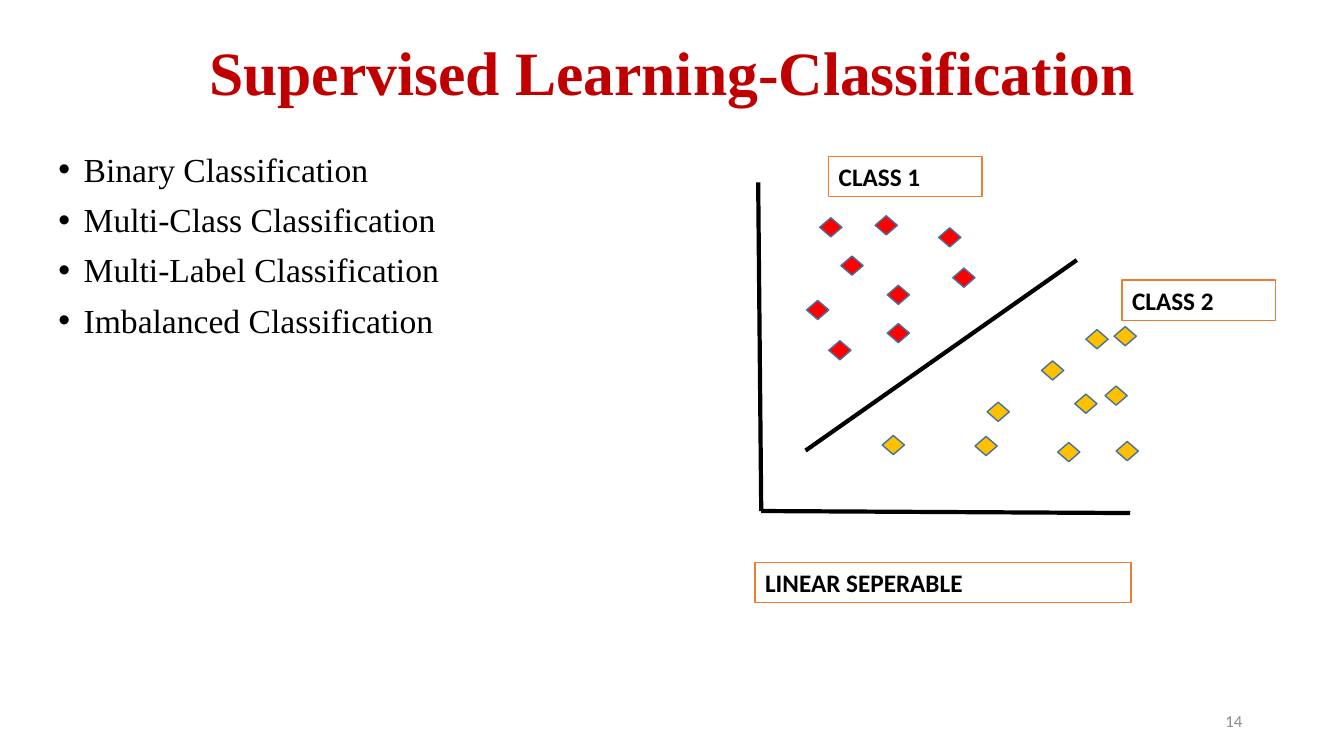
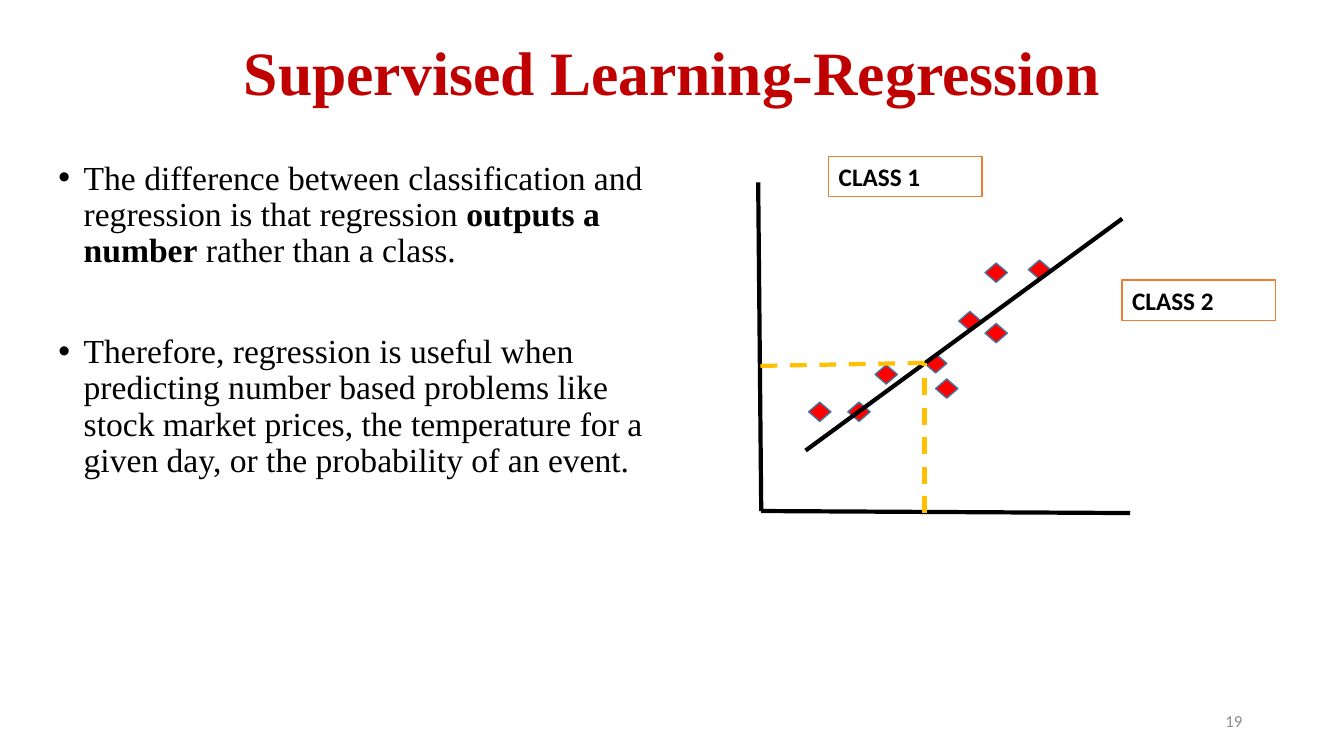
from dataclasses import dataclass

from lxml import etree
from pptx import Presentation
from pptx.dml.color import RGBColor
from pptx.enum.dml import MSO_LINE_DASH_STYLE as Dash
from pptx.enum.shapes import MSO_CONNECTOR as Connector, MSO_SHAPE as Shape
from pptx.enum.text import MSO_ANCHOR as Anchor, MSO_AUTO_SIZE as AutoSize, PP_ALIGN as Align
from pptx.oxml.ns import qn
from pptx.util import Inches, Pt


@dataclass(frozen=True)
class Theme:
    heading_font: str = "Times New Roman"
    label_font: str = "Calibri"
    title_color: str = "C00000"
    ink: str = "000000"
    paper: str = "FFFFFF"
    number_color: str = "8C8C8C"
    class_1: str = "FF0000"
    class_2: str = "FFC000"
    point_outline: str = "43739E"
    label_outline: str = "ED7D31"
    title_size: int = 44
    body_size: int = 24
    label_size: int = 18
    number_size: int = 12
    axis_width: int = 3
    outline_width: int = 1
    line_spacing: float = 0.9
    bullet_gap: int = 10
    wide_bullet_gap: int = 46


def place(shape, left, top, width, height):
    shape.left, shape.top = Inches(left), Inches(top)
    shape.width, shape.height = Inches(width), Inches(height)


class Deck:
    POINT_SIZE = (0.22, 0.19)
    LABEL_HEIGHT = 0.4

    def __init__(self, theme):
        self.theme = theme
        self.prs = Presentation()
        self.prs.slide_width, self.prs.slide_height = Inches(13.33), Inches(7.5)
        self.slide = None

    def add_run(self, paragraph, text, font, size, color, bold=False):
        run = paragraph.add_run()
        run.text = text
        run.font.name, run.font.size, run.font.bold = font, Pt(size), bold
        run.font.color.rgb = RGBColor.from_string(color)

    def start_slide(self, title, number):
        theme = self.theme
        self.slide = self.prs.slides.add_slide(self.prs.slide_layouts[1])
        heading = self.slide.shapes.title
        place(heading, 0.92, 0.02, 11.5, 1.45)
        frame = heading.text_frame
        frame.auto_size, frame.vertical_anchor = AutoSize.NONE, Anchor.MIDDLE
        paragraph = frame.paragraphs[0]
        paragraph.alignment, paragraph.line_spacing = Align.CENTER, theme.line_spacing
        self.add_run(paragraph, title, theme.heading_font, theme.title_size,
                     theme.title_color, bold=True)
        self.page_number(number)

    def page_number(self, number):
        theme = self.theme
        box = self.slide.shapes.add_textbox(Inches(9.42), Inches(6.95), Inches(3), Inches(0.4))
        frame = box.text_frame
        frame.word_wrap, frame.vertical_anchor = True, Anchor.MIDDLE
        paragraph = frame.paragraphs[0]
        paragraph.alignment = Align.RIGHT
        self.add_run(paragraph, str(number), theme.label_font, theme.number_size,
                     theme.number_color)

    def bullets(self, box, items, gap):
        """Fill the body; each item is a list of (text, bold) runs."""
        theme = self.theme
        body = self.slide.placeholders[1]
        place(body, *box)
        frame = body.text_frame
        frame.auto_size, frame.vertical_anchor = AutoSize.NONE, Anchor.TOP
        for index, runs in enumerate(items):
            paragraph = frame.add_paragraph() if index else frame.paragraphs[0]
            props = paragraph._p.get_or_add_pPr()
            props.set("marL", str(Inches(0.25)))
            props.set("indent", str(-Inches(0.25)))
            etree.SubElement(props, qn("a:buFont")).set("typeface", "Arial")
            etree.SubElement(props, qn("a:buChar")).set("char", "•")
            paragraph.line_spacing = theme.line_spacing
            paragraph.space_before = Pt(gap if index else 0)
            for text, bold in runs:
                self.add_run(paragraph, text, theme.heading_font, theme.body_size,
                             theme.ink, bold)

    def line(self, start, end, color=None, dashed=False):
        line = self.slide.shapes.add_connector(
            Connector.STRAIGHT, *(Inches(value) for value in (*start, *end)))
        line.line.color.rgb = RGBColor.from_string(color or self.theme.ink)
        line.line.width = Pt(self.theme.axis_width)
        if dashed:
            line.line.dash_style = Dash.DASH
        etree.SubElement(line._element.spPr, qn("a:effectLst"))

    def axes(self):
        origin = (7.55, 5.07)
        self.line((7.52, 1.81), origin)
        self.line((11.21, 5.09), origin)

    def outlined(self, preset, box, fill, outline):
        shape = self.slide.shapes.add_shape(preset, *(Inches(value) for value in box))
        shape.shadow.inherit = False
        shape.fill.solid()
        shape.fill.fore_color.rgb = RGBColor.from_string(fill)
        shape.line.color.rgb = RGBColor.from_string(outline)
        shape.line.width = Pt(self.theme.outline_width)
        return shape

    def points(self, positions, color):
        for position in positions:
            self.outlined(Shape.DIAMOND, (*position, *self.POINT_SIZE), color,
                          self.theme.point_outline)

    def label(self, text, left, top, width=1.52):
        theme = self.theme
        frame = self.outlined(Shape.RECTANGLE, (left, top, width, self.LABEL_HEIGHT),
                              theme.paper, theme.label_outline).text_frame
        frame.word_wrap, frame.auto_size = True, AutoSize.SHAPE_TO_FIT_TEXT
        frame.vertical_anchor = Anchor.TOP
        paragraph = frame.paragraphs[0]
        paragraph.alignment = Align.LEFT
        self.add_run(paragraph, text, theme.label_font, theme.label_size, theme.ink, bold=True)

    def class_labels(self):
        self.label("CLASS 1", 8.22, 1.55)
        self.label("CLASS 2", 11.13, 2.78)


def classification_slide(deck):
    theme = deck.theme
    deck.start_slide("Supervised Learning-Classification", 14)
    kinds = ("Binary", "Multi-Class", "Multi-Label", "Imbalanced")
    deck.bullets((0.48, 1.47, 5.06, 2.76),
                 [[(f"{kind} Classification", False)] for kind in kinds], theme.bullet_gap)
    deck.axes()
    deck.points([(8.13, 2.16), (8.34, 2.54), (8.68, 2.14), (9.45, 2.66), (8.8, 2.83),
                 (8, 2.98), (9.31, 2.26), (8.8, 3.21), (8.22, 3.38)], theme.class_1)
    deck.line((10.68, 2.58), (7.99, 4.47))
    deck.points([(10.33, 3.58), (8.75, 4.32), (10.66, 3.91), (9.67, 4.33), (11.05, 3.24),
                 (10.49, 4.39), (10.96, 3.83), (9.79, 3.99), (11.07, 4.38), (10.77, 3.27)],
                theme.class_2)
    deck.label("LINEAR SEPERABLE", 7.49, 5.58, 3.73)
    deck.class_labels()


def regression_slide(deck):
    theme = deck.theme
    deck.start_slide("Supervised Learning-Regression", 19)
    difference = [
        ("The difference between classification and regression is that regression ", False),
        ("outputs a number", True),
        (" rather than a class.", False),
    ]
    usefulness = [
        ("Therefore, regression is useful when predicting number based problems like stock "
         "market prices, the temperature for a given day, or the probability of an event.",
         False),
    ]
    deck.bullets((0.48, 1.55, 6.4, 5.92), [difference, usefulness], theme.wide_bullet_gap)
    deck.axes()
    deck.points([(9.77, 3.21), (10.2, 2.58), (9.51, 3.09), (9.28, 3.76), (8.68, 3.62),
                 (9.77, 2.61), (9.17, 3.51), (8.41, 3.99), (8.02, 3.99)], theme.class_1)
    deck.line((11.13, 2.17), (7.99, 4.47))
    deck.class_labels()
    prediction = (9.17, 3.6)
    deck.line((9.17, 5.09), prediction, theme.class_2, dashed=True)
    deck.line(prediction, (7.54, 3.63), theme.class_2, dashed=True)


def main():
    deck = Deck(Theme())
    classification_slide(deck)
    regression_slide(deck)
    deck.prs.save("out.pptx")


if __name__ == "__main__":
    main()
